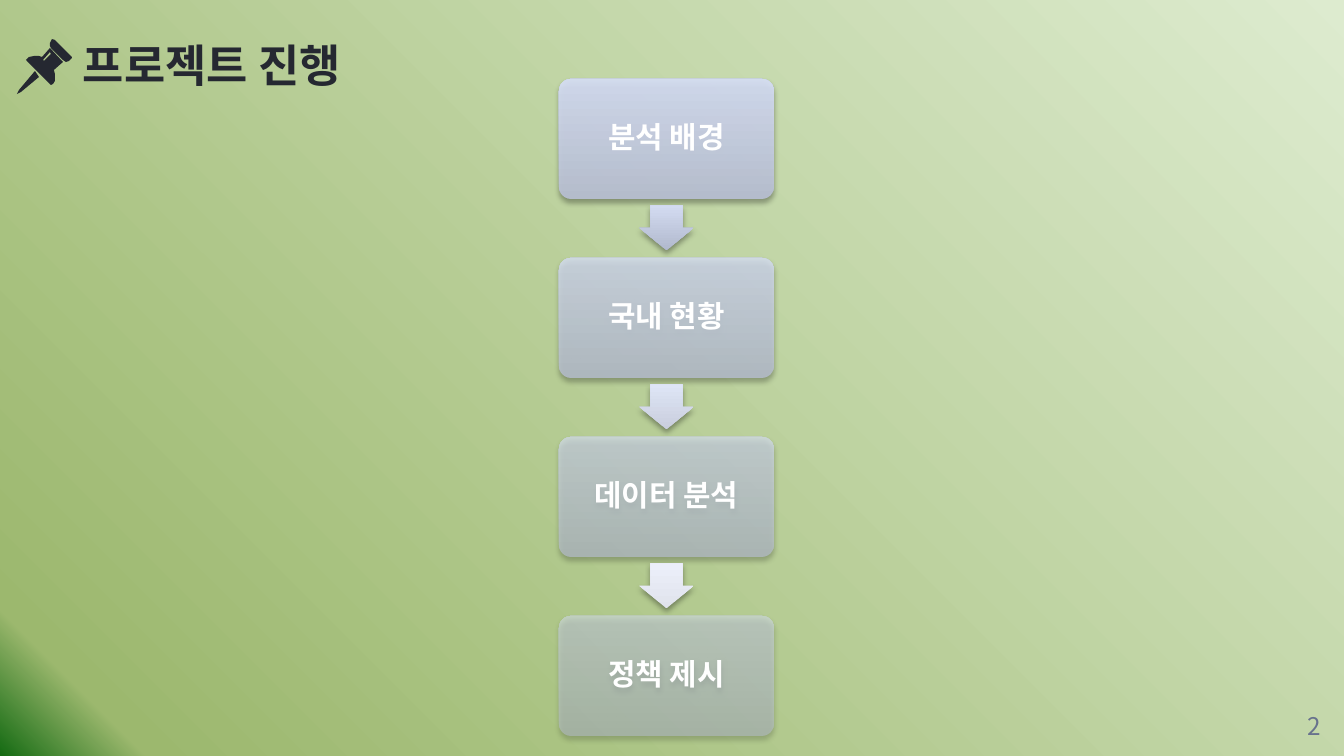
from dataclasses import dataclass
from typing import NamedTuple

from lxml.etree import SubElement
from pptx import Presentation
from pptx.dml.color import RGBColor
from pptx.enum.shapes import MSO_SHAPE as Preset
from pptx.enum.text import MSO_ANCHOR as Anchor, PP_ALIGN as Align
from pptx.oxml.ns import qn
from pptx.util import Pt

EMU_PER_PX = 9144000 / 1344


class Stop(NamedTuple):
    position: int
    color: str
    opacity: int = 100


class Area(NamedTuple):
    left: int
    top: int
    width: int
    height: int


class TextStyle(NamedTuple):
    size: int
    color: str
    bold: bool
    align: Align
    anchor: Anchor
    line_spacing: float = 1.0


@dataclass(frozen=True)
class Theme:
    font: str = "Noto Sans CJK KR"
    ink: str = "252831"
    step_dark: str = "BAC1D6"
    step_light: str = "D6DEF6"
    shadow: str = "000000"
    backdrop: tuple = (Stop(0, "DDEBCF"), Stop(93, "9CB86E"), Stop(100, "156B13"))
    heading: TextStyle = TextStyle(24, "252831", True, Align.LEFT, Anchor.TOP)
    step: TextStyle = TextStyle(16, "FFFFFF", True, Align.CENTER, Anchor.MIDDLE, 0.9)
    page: TextStyle = TextStyle(13, "68728D", False, Align.CENTER, Anchor.MIDDLE)


@dataclass(frozen=True)
class Step:
    label: str
    opacity: int
    arrow_colors: tuple = ()


THEME = Theme()
STEPS = (
    Step("분석 배경", 90, ("B1B9CD", "D3DBF1")),
    Step("국내 현황", 77, ("C9CEDD", "DEE5F6")),
    Step("데이터 분석", 63, ("E0E3EC", "ECEFFA")),
    Step("정책 제시", 50),
)
FIRST_STEP = Area(559, 79, 215, 120)
STEP_PITCH = 179
ARROW_LENGTH, ARROW_BREADTH = 45, 54

NEEDLE = (((35, 71), (19, 90), (17, 94), (21, 92), (39, 77)),)
CAP = (((52, 39), (50, 43), (50, 46), (51, 48), (63, 60), (66, 62), (69, 61),
        (72, 58), (72, 57), (55, 40)),)
BODY = (
    ((50, 48), (42, 57), (39, 56), (34, 56), (29, 57), (26, 60), (27, 61),
     (51, 85), (53, 84), (55, 81), (55, 74), (54, 70), (63, 62)),
    ((50, 52), (51, 54), (44, 61), (43, 60)),
)


def px(length: float) -> int:
    return round(length * EMU_PER_PX)


def apply_format(target, values: dict) -> None:
    for name, value in values.items():
        setattr(target, name, value)


def add_color(parent, color: str, opacity: int) -> None:
    tint = SubElement(parent, qn("a:srgbClr"), val=color)
    if opacity < 100:
        SubElement(tint, qn("a:alpha"), val=str(opacity * 1000))


def paint_gradient(fill, holder, stops: tuple, angle: int) -> None:
    fill.gradient()
    gradient = holder.find(qn("a:gradFill"))
    gradient.clear()
    gradient.set("rotWithShape", "0")
    stop_list = SubElement(gradient, qn("a:gsLst"))
    for stop in stops:
        entry = SubElement(stop_list, qn("a:gs"), pos=str(stop.position * 1000))
        add_color(entry, stop.color, stop.opacity)
    SubElement(gradient, qn("a:lin"), ang=str(angle * 60000), scaled="0")


def add_shadow(shape) -> None:
    shape.shadow.inherit = False
    effects = shape._element.spPr.find(qn("a:effectLst"))
    outer = SubElement(effects, qn("a:outerShdw"), blurRad=str(Pt(3.1)),
                       dist=str(Pt(1.8)), dir=str(90 * 60000), rotWithShape="0")
    add_color(outer, THEME.shadow, 35)


def write_text(frame, wording: str, style: TextStyle, inset: int = 0) -> None:
    apply_format(frame, {
        "word_wrap": True, "vertical_anchor": style.anchor,
        "margin_left": px(inset), "margin_right": px(inset),
        "margin_top": px(inset), "margin_bottom": px(inset),
    })
    paragraph = frame.paragraphs[0]
    apply_format(paragraph, {"alignment": style.align, "line_spacing": style.line_spacing})
    run = paragraph.add_run()
    run.text = wording
    apply_format(run.font, {"name": THEME.font, "size": Pt(style.size), "bold": style.bold})
    run.font.color.rgb = RGBColor.from_string(style.color)
    SubElement(run._r.get_or_add_rPr(), qn("a:ea"), typeface=THEME.font)


def add_label(slide, area: Area, wording: str, style: TextStyle) -> None:
    label = slide.shapes.add_textbox(*map(px, area))
    write_text(label.text_frame, wording, style)


def add_block(shapes, preset: Preset, area: Area, adjustments: tuple, stops: tuple):
    block = shapes.add_shape(preset, *map(px, area))
    for index, value in enumerate(adjustments):
        block.adjustments[index] = value
    paint_gradient(block.fill, block._element.spPr, stops, 270)
    block.line.fill.background()
    add_shadow(block)
    return block


def add_flow(slide) -> None:
    flow = slide.shapes.add_group_shape().shapes
    left, first_top, width, height = FIRST_STEP
    for index, step in enumerate(STEPS):
        top = first_top + index * STEP_PITCH
        stops = (Stop(0, THEME.step_dark, step.opacity),
                 Stop(100, THEME.step_light, step.opacity))
        card = add_block(flow, Preset.ROUNDED_RECTANGLE,
                         Area(left, top, width, height), (0.1,), stops)
        write_text(card.text_frame, step.label, THEME.step, 13)
        if step.arrow_colors:
            dark, light = step.arrow_colors
            center_x = left + width // 2
            center_y = top + (height + STEP_PITCH) // 2
            area = Area(center_x - ARROW_LENGTH // 2, center_y - ARROW_BREADTH // 2,
                        ARROW_LENGTH, ARROW_BREADTH)
            arrow = add_block(flow, Preset.RIGHT_ARROW, area, (0.6, 0.5),
                              (Stop(0, dark), Stop(100, light)))
            arrow.rotation = 90


def add_pin(slide) -> None:
    pin = slide.shapes.add_group_shape().shapes
    for contours in (NEEDLE, CAP, BODY):
        builder = pin.build_freeform(*contours[0][0], scale=EMU_PER_PX)
        for index, contour in enumerate(contours):
            if index:
                builder.move_to(*contour[0])
            builder.add_line_segments(contour[1:], close=True)
        part = builder.convert_to_shape()
        part.shadow.inherit = False
        part.fill.solid()
        part.fill.fore_color.rgb = RGBColor.from_string(THEME.ink)
        part.line.fill.background()


def main() -> None:
    deck = Presentation()
    apply_format(deck, {"slide_width": px(1344), "slide_height": px(756)})
    slide = deck.slides.add_slide(deck.slide_layouts[6])
    backdrop = slide.background.fill
    paint_gradient(backdrop, slide._element.cSld.bg.bgPr, THEME.backdrop, 135)
    add_label(slide, Area(1284, 696, 60, 60), "2", THEME.page)
    add_flow(slide)
    add_label(slide, Area(83, 38, 409, 56), "프로젝트 진행", THEME.heading)
    add_pin(slide)
    deck.save("out.pptx")


if __name__ == "__main__":
    main()
